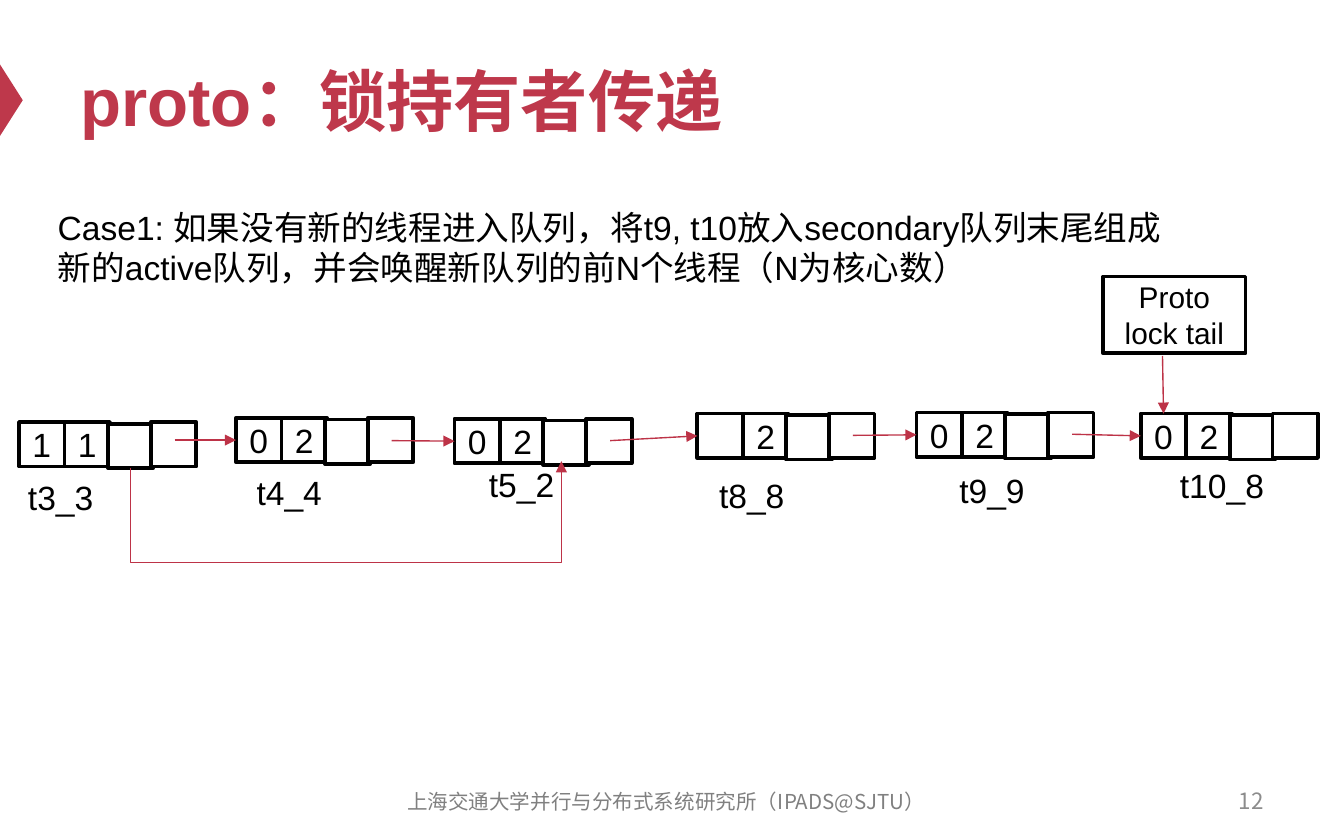
from lxml.etree import SubElement
from pptx import Presentation
from pptx.dml.color import RGBColor
from pptx.enum.shapes import MSO_CONNECTOR, MSO_SHAPE
from pptx.enum.text import MSO_ANCHOR, PP_ALIGN
from pptx.oxml.ns import qn
from pptx.util import Cm, Pt

COLORS = {"red": "BE384B", "arrow": "BD3347", "black": "000000",
          "white": "FFFFFF", "footer": "808080", "number": "8C8C8C"}
CJK = "Noto Sans CJK SC"
CELL_W, CELL_H = 0.86, 0.84
CELL_OFFSETS = [(0, 0), (0.86, 0), (1.68, 0.03), (2.49, 0)]
LINK_X = 2.94  # where an arrow starts inside the last cell

# left, top, cell values, label, label offset, height of the outgoing arrow's start
NODES = [
    (0.36, 7.98, ["1", "1", "", ""], "t3_3", (-0.08, 0.91), 0.34),
    (4.46, 7.90, ["0", "2", "", ""], "t4_4", (0.14, 0.89), 0.43),
    (8.59, 7.92, ["0", "2", "", ""], "t5_2", (0.40, 0.72), 0.41),
    (13.18, 7.82, ["", "2", "", ""], "t8_8", (0.16, 1.04), 0.41),
    (17.32, 7.80, ["0", "2", "", ""], "t9_9", (0.56, 0.96), 0.41),
    (21.56, 7.82, ["0", "2", "", ""], "t10_8", (0.49, 0.84), None),
]


def rgb(name):
    return RGBColor.from_string(COLORS[name])


def write(tf, lines, size, color="black", font="Arial", bold=False,
          align=PP_ALIGN.LEFT, anchor=MSO_ANCHOR.TOP):
    tf.word_wrap = True
    tf.vertical_anchor = anchor
    tf.text = lines
    for p in tf.paragraphs:
        p.alignment = align
        for r in p.runs:
            r.font.size, r.font.name, r.font.bold = Pt(size), font, bold
            r.font.color.rgb = rgb(color)
            SubElement(r.font._element, qn("a:ea")).set("typeface", CJK)


def add_text(s, box, text, size, **style):
    sp = s.shapes.add_textbox(*map(Cm, box))
    write(sp.text_frame, text, size, **style)


def add_box(s, box, text, size):
    sp = s.shapes.add_shape(MSO_SHAPE.RECTANGLE, *map(Cm, box))
    sp.shadow.inherit = False
    sp.fill.solid()
    sp.fill.fore_color.rgb = rgb("white")
    sp.line.color.rgb = rgb("black")
    sp.line.width = Pt(2)
    tf = sp.text_frame
    tf.margin_left = tf.margin_right = tf.margin_top = tf.margin_bottom = 0
    if text:
        write(tf, text, size, align=PP_ALIGN.CENTER, anchor=MSO_ANCHOR.MIDDLE)
    return sp


def add_arrow(s, start, end, kind=MSO_CONNECTOR.STRAIGHT):
    c = s.shapes.add_connector(kind, *map(Cm, (*start, *end)))
    c.line.color.rgb = rgb("arrow")
    c.line.width = Pt(0.75)
    SubElement(c.line._get_or_add_ln(), qn("a:tailEnd")).set("type", "triangle")
    SubElement(c._element.spPr, qn("a:effectLst"))
    return c


def add_detour(s, cell, start, end, bottom):
    """Elbow arrow that leaves a cell downwards, runs along bottom and rises to end."""
    c = add_arrow(s, start, end, MSO_CONNECTOR.ELBOW)
    c.begin_connect(cell, 2)
    (x1, y1), (x2, y2) = start, end
    depth, span = y1 - y2, x2 - x1
    # The preset elbow runs sideways, so its frame is turned a quarter.
    c.left, c.top = Cm((x1 + x2 - depth) / 2), Cm((y1 + y2 - span) / 2)
    c.width, c.height = Cm(depth), Cm(span)
    xfrm = c._element.spPr.find(qn("a:xfrm"))
    for key, value in (("rot", "5400000"), ("flipH", "1"), ("flipV", "1")):
        xfrm.set(key, value)
    guides = c._element.spPr.find(qn("a:prstGeom")).find(qn("a:avLst"))
    gd = SubElement(guides, qn("a:gd"))
    gd.set("name", "adj1")
    gd.set("fmla", f"val {round((y1 - bottom) / depth * 100000)}")


def add_node(s, x, y, values, label, label_offset):
    cells = [add_box(s, (x + dx, y + dy, CELL_W, CELL_H), value, 18)
             for value, (dx, dy) in zip(values, CELL_OFFSETS)]
    dx, dy = label_offset
    add_text(s, (x + dx, y + dy, 2.59, 1.02), label, 18)
    return cells


def add_queue(s):
    rows = [add_node(s, *node[:5]) for node in NODES]
    for (x, y, *_, link_y), target in zip(NODES, rows[1:]):
        start = (x + LINK_X, y + link_y)
        add_arrow(s, start, start).end_connect(target[0], 1)
    add_detour(s, rows[0][2], (2.47, 8.85), (10.61, 8.72), 10.64)
    return rows


def add_lock_tail(s, x, y, target):
    add_box(s, (x, y, 2.69, 1.45), "Proto\nlock tail", 16)
    start = (x + 1.12, y + 1.5)
    add_arrow(s, start, start).end_connect(target, 0)


def add_header(s, x, y, w, h):
    marker = s.shapes.add_shape(MSO_SHAPE.ISOSCELES_TRIANGLE,
                                Cm(-0.46), Cm(y + 1.04), Cm(1.35), Cm(0.43))
    marker.rotation = 90
    marker.shadow.inherit = False
    marker.fill.solid()
    marker.fill.fore_color.rgb = rgb("red")
    marker.line.fill.background()
    add_text(s, (x, y, w, h), "proto：锁持有者传递", 36, color="red",
             bold=True, anchor=MSO_ANCHOR.MIDDLE)


def add_footer(s, y, h):
    add_text(s, (7.09, y, 11, h), "上海交通大学并行与分布式系统研究所（IPADS@SJTU）", 11,
             color="footer", font=CJK, align=PP_ALIGN.CENTER, anchor=MSO_ANCHOR.MIDDLE)
    add_text(s, (18.21, y, 5.92, h), "12", 12, color="number", font=CJK,
             align=PP_ALIGN.RIGHT, anchor=MSO_ANCHOR.MIDDLE)


def main():
    prs = Presentation()
    prs.slide_width, prs.slide_height = Cm(25.4), Cm(15.88)
    s = prs.slides.add_slide(prs.slide_layouts[6])
    add_header(s, 1.27, 0.64, 22.86, 2.49)
    add_text(s, (0.84, 3.78, 21.87, 1.8),
             "Case1: 如果没有新的线程进入队列，将t9, t10放入secondary队列末尾组成新的active队列，"
             "并会唤醒新队列的前N个线程（N为核心数）", 18)
    rows = add_queue(s)
    add_lock_tail(s, 20.85, 5.23, rows[-1][0])
    add_footer(s, 14.72, 0.84)
    prs.save("out.pptx")


if __name__ == "__main__":
    main()
